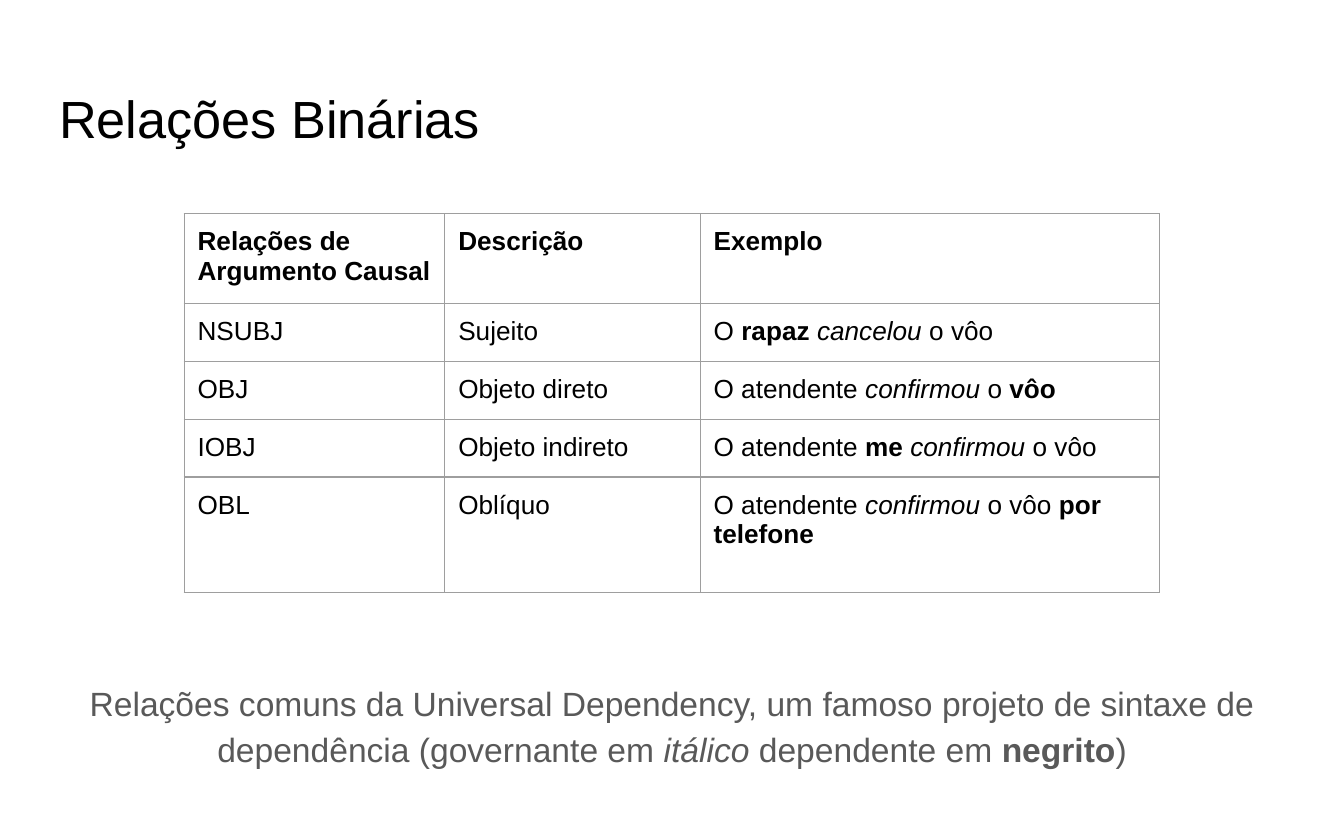
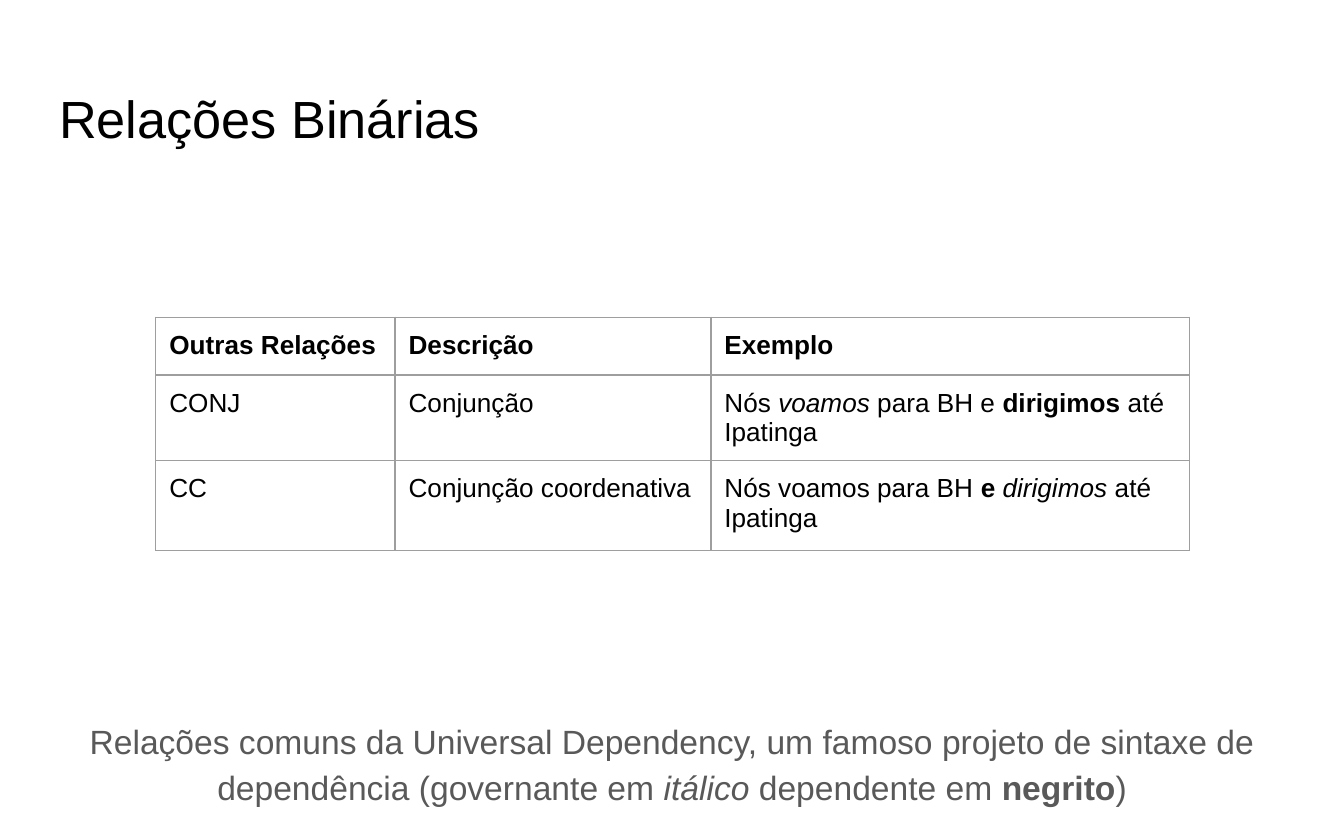
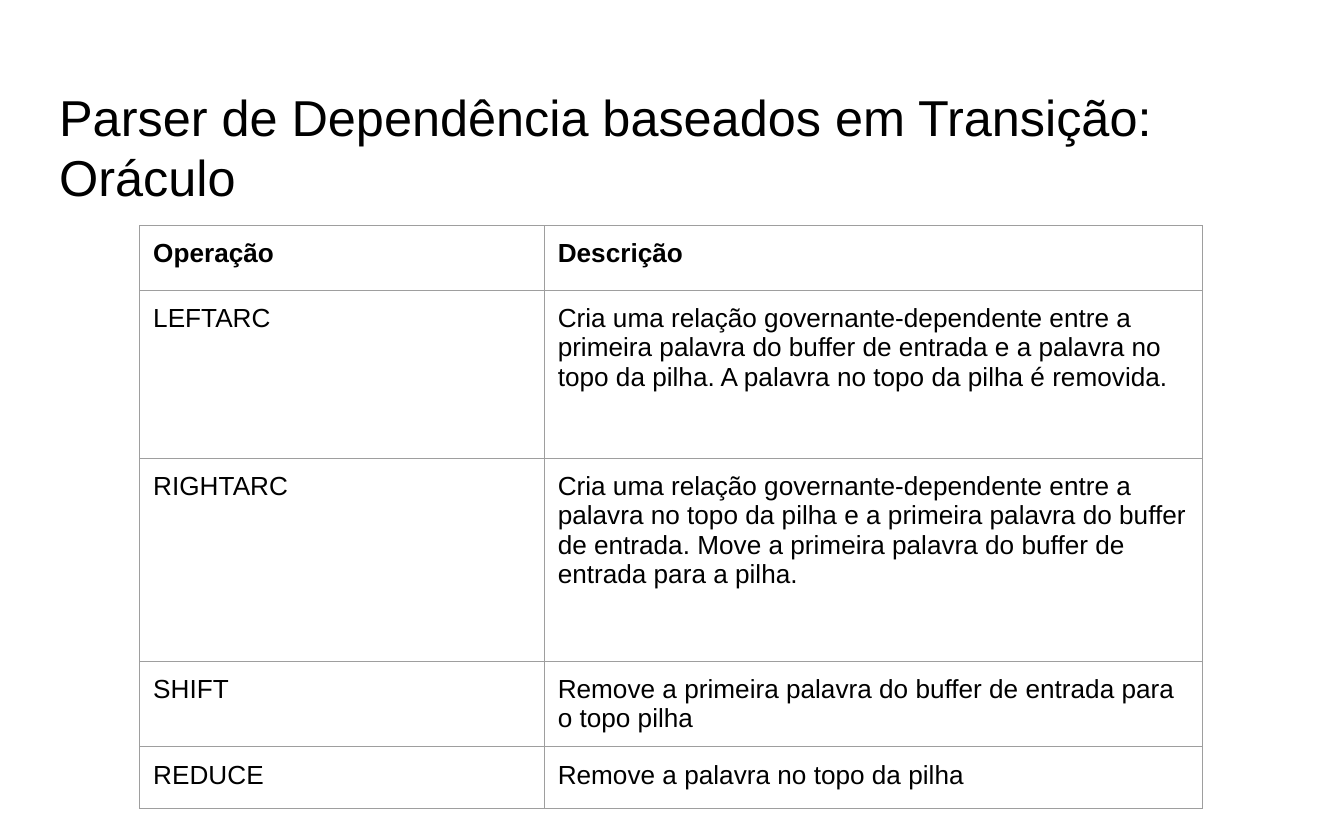
import pptx
import pptx.dml.color
import pptx.enum.text
import pptx.oxml
import pptx.oxml.ns
import pptx.util
from pptx.util import Inches

BLACK = pptx.dml.color.RGBColor(0x00, 0x00, 0x00)
GRAY = pptx.dml.color.RGBColor(0x59, 0x59, 0x59)
RULE = pptx.dml.color.RGBColor(0x9E, 0x9E, 0x9E)
ALIGN = pptx.enum.text.PP_ALIGN
ANCHOR = pptx.enum.text.MSO_ANCHOR

NOTE = (
    "Relações comuns da Universal Dependency, um famoso projeto de sintaxe de "
    "dependência (governante em _itálico_ dependente em *negrito*)"
)
CLAUSE = [
    ["Relações de Argumento Causal", "Descrição", "Exemplo"],
    ["NSUBJ", "Sujeito", "O *rapaz *_cancelou_ o vôo"],
    ["OBJ", "Objeto direto", "O atendente _confirmou_ o *vôo*"],
    ["IOBJ", "Objeto indireto", "O atendente* me *_confirmou_ o vôo"],
    ["OBL", "Oblíquo", "O atendente _confirmou_ o vôo *por telefone*"],
]
OTHER = [
    ["Outras Relações", "Descrição", "Exemplo"],
    ["CONJ", "Conjunção", "Nós _voamos_ para BH e *dirigimos* até Ipatinga"],
    ["CC", "Conjunção coordenativa", "Nós voamos para BH *e *_dirigimos_ até Ipatinga"],
]
MOVES = [
    ["Operação", "Descrição"],
    ["LEFTARC", "Cria uma relação governante-dependente entre a primeira palavra "
     "do buffer de entrada e a palavra no topo da pilha. A palavra no topo da "
     "pilha é removida."],
    ["RIGHTARC", "Cria uma relação governante-dependente entre a palavra no topo "
     "da pilha e a primeira palavra do buffer de entrada. Move a primeira palavra "
     "do buffer de entrada para a pilha."],
    ["SHIFT", "Remove a primeira palavra do buffer de entrada para o topo pilha"],
    ["REDUCE", "Remove a palavra no topo da pilha"],
]


class Deck:
    font = "Arial"
    pad = Inches(0.1)
    left = Inches(0.34)
    width = Inches(9.32)

    def __init__(self):
        self.show = pptx.Presentation()
        self.show.slide_width = Inches(10)
        self.show.slide_height = Inches(6.25)
        self.slide = None

    def start(self, layout):
        self.slide = self.show.slides.add_slide(self.show.slide_layouts[layout])

    def style(self, para, size, color, bold=False):
        for run in para.runs:
            run.font.name = self.font
            run.font.size = pptx.util.Pt(size)
            run.font.color.rgb = color
            if bold:
                run.font.bold = True

    def mark(self, para, text):
        for i, chunk in enumerate(text.split("*")):
            for j, part in enumerate(chunk.split("_")):
                if part:
                    run = para.add_run()
                    run.text = part
                    run.font.bold = i % 2 == 1
                    run.font.italic = j % 2 == 1

    def place(self, shape, top, height, anchor):
        shape.left, shape.top = self.left, Inches(top)
        shape.width, shape.height = self.width, Inches(height)
        frame = shape.text_frame
        frame.margin_left = frame.margin_right = self.pad
        frame.margin_top = frame.margin_bottom = self.pad
        frame.word_wrap = True
        frame.auto_size = pptx.enum.text.MSO_AUTO_SIZE.NONE
        frame.vertical_anchor = anchor
        return frame

    def title(self, text, size=28):
        frame = self.place(self.slide.shapes.title, 0.54, 0.7, ANCHOR.TOP)
        frame.text = text
        for para in frame.paragraphs:
            para.alignment = ALIGN.LEFT
            self.style(para, size, BLACK)

    def note(self, text, top):
        frame = self.place(self.slide.placeholders[1], top, 0.84, ANCHOR.MIDDLE)
        para = frame.paragraphs[0]
        self.mark(para, text)
        para.alignment = ALIGN.CENTER
        para.line_spacing = 1.15
        para.space_before = pptx.util.Pt(0)
        para.space_after = pptx.util.Pt(10)
        props = para._p.get_or_add_pPr()
        props.set("marL", "0")
        props.set("indent", "0")
        props.append(pptx.oxml.parse_xml(
            f'<a:buNone {pptx.oxml.ns.nsdecls("a")}/>'))
        self.style(para, 18, GRAY)

    def border(self, cell):
        props = cell._tc.get_or_add_tcPr()
        for spot, side in enumerate(("lnL", "lnR", "lnT", "lnB")):
            props.insert(spot, pptx.oxml.parse_xml(
                f'<a:{side} {pptx.oxml.ns.nsdecls("a")} w="{pptx.util.Pt(0.75)}">'
                f'<a:solidFill><a:srgbClr val="{RULE}"/></a:solidFill></a:{side}>'))

    def table(self, data, left, top, cols, rows):
        grid = self.slide.shapes.add_table(
            len(rows), len(cols), Inches(left), Inches(top),
            Inches(sum(cols)), Inches(sum(rows))).table
        grid.first_row = grid.horz_banding = False
        for col, width in zip(grid.columns, cols):
            col.width = Inches(width)
        for row, height in zip(grid.rows, rows):
            row.height = Inches(height)
        for r, line in enumerate(data):
            for c, text in enumerate(line):
                cell = grid.cell(r, c)
                cell.margin_left = cell.margin_right = self.pad
                cell.margin_top = cell.margin_bottom = self.pad
                cell.fill.background()
                self.border(cell)
                para = cell.text_frame.paragraphs[0]
                self.mark(para, text)
                self.style(para, 14, BLACK, bold=r == 0)


def main():
    deck = Deck()

    deck.start(1)
    deck.title("Relações Binárias")
    deck.note(NOTE, 4.96)
    deck.table(CLAUSE, 1.37, 1.59, [1.94, 1.9, 3.42], [0.67, 0.43, 0.43, 0.43, 0.86])

    deck.start(1)
    deck.title("Relações Binárias")
    deck.note(NOTE, 5.24)
    deck.table(OTHER, 1.16, 2.36, [1.78, 2.35, 3.56], [0.43, 0.63, 0.67])

    deck.start(5)
    deck.title("Parser de Dependência baseados em Transição:\nOráculo", 27)
    deck.table(MOVES, 1.04, 1.68, [3.01, 4.9], [0.48, 1.25, 1.51, 0.63, 0.46])

    deck.show.save("out.pptx")


if __name__ == "__main__":
    main()
